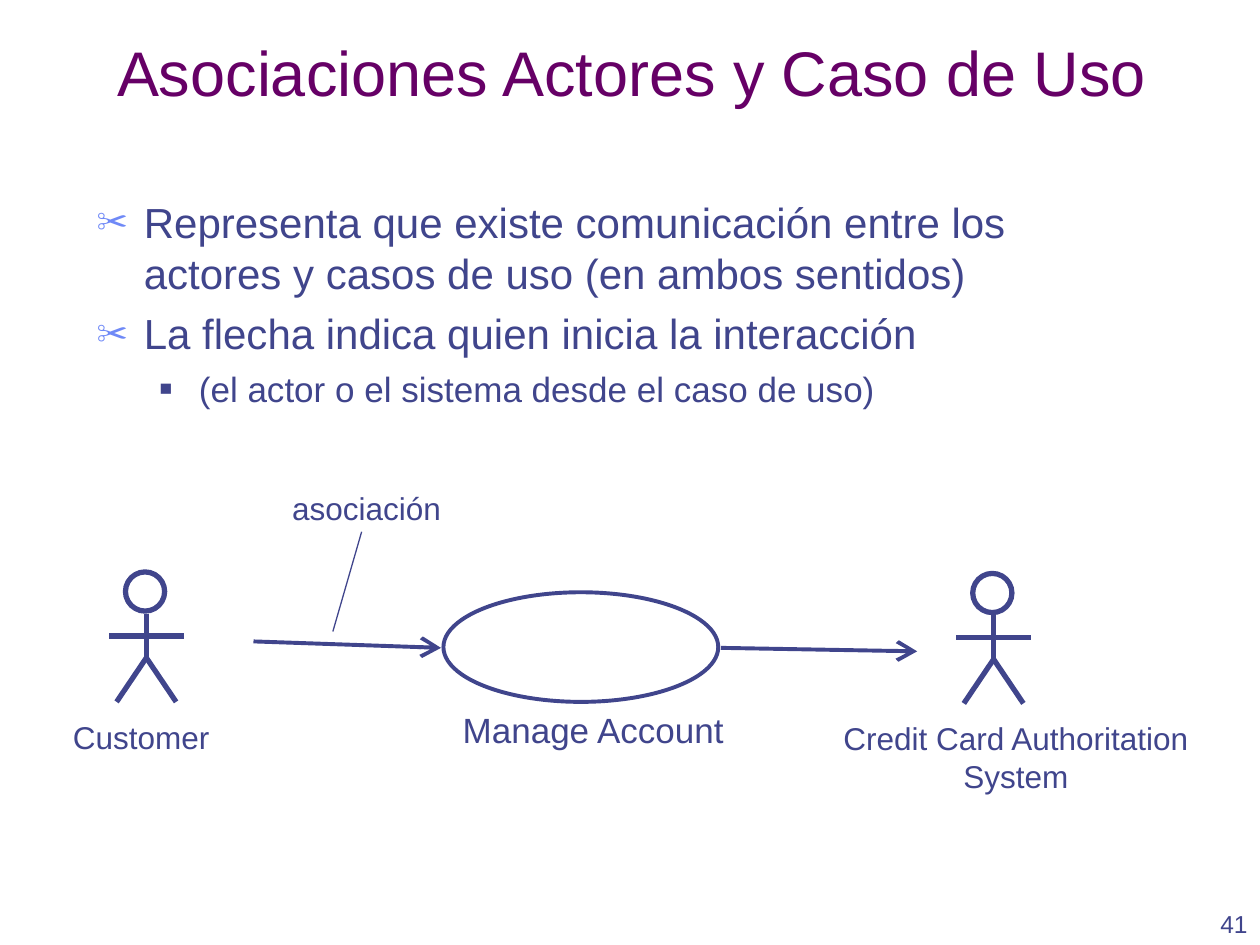
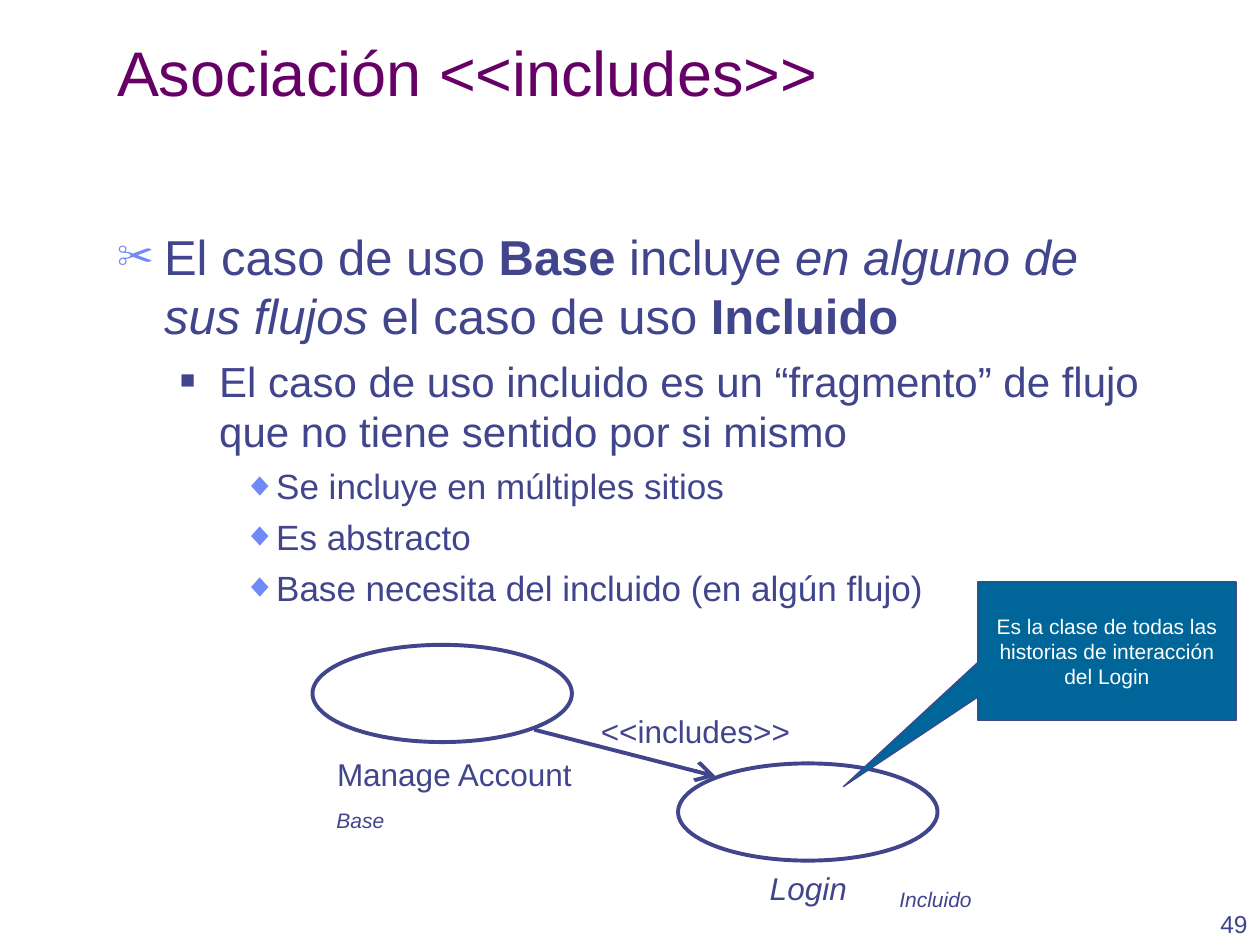
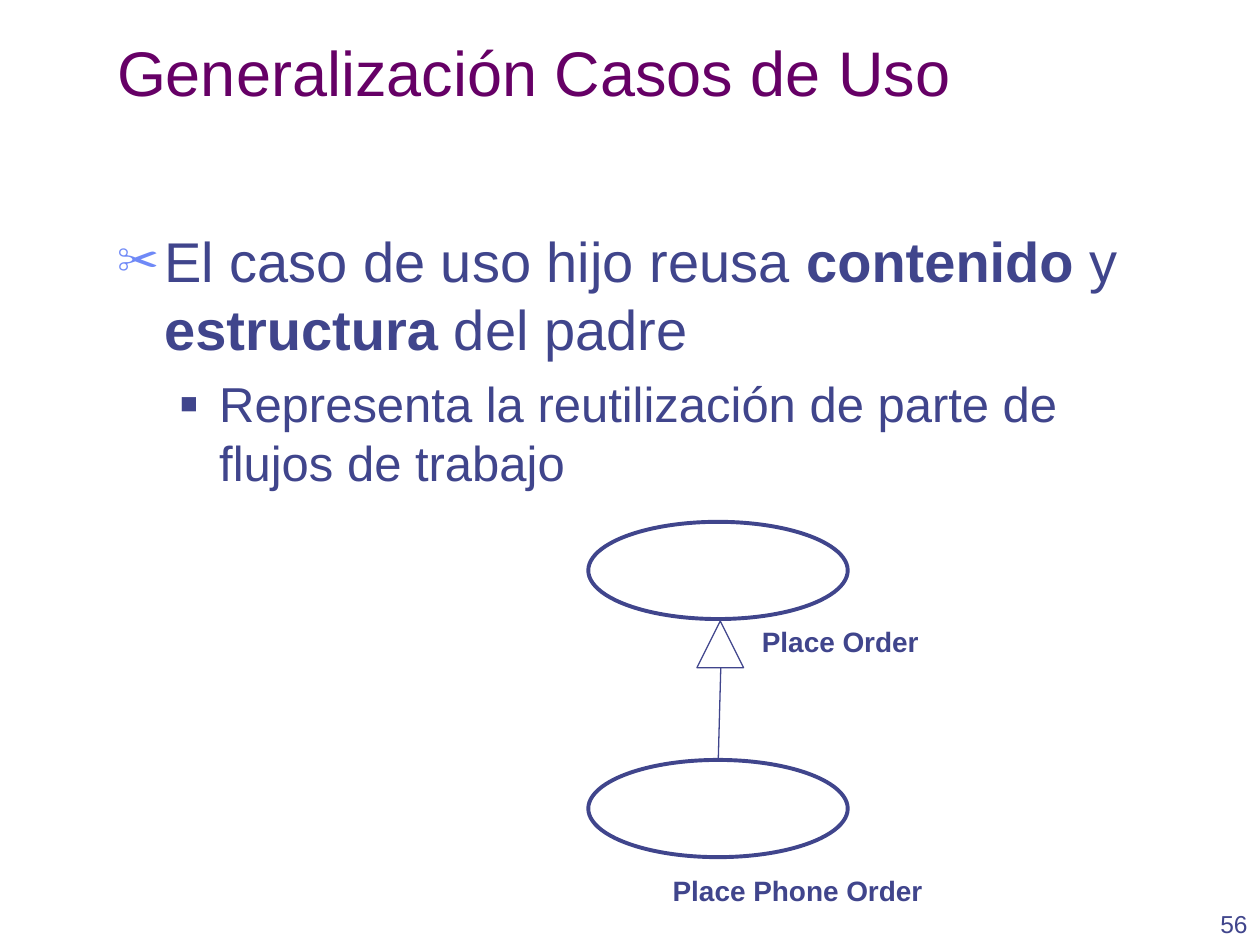
from lxml.etree import SubElement as Sub
from pptx import Presentation
from pptx.dml.color import RGBColor as Rgb
from pptx.enum.shapes import MSO_CONNECTOR as Conn, MSO_SHAPE as Geo
from pptx.enum.text import (MSO_ANCHOR as Anchor, MSO_AUTO_SIZE as Fit,
                            PP_ALIGN as Align)
from pptx.oxml.ns import qn
from pptx.util import Cm, Pt

HEX = {"ink": "40458C", "title": "660066", "mark": "6F89F7",
       "note": "006699", "white": "FFFFFF"}
FONT = "Arial"
BOLD, SLANT = {"bold": True}, {"italic": True}
THIN, MID, THICK = 0.75, 2.25, 3
OVAL = (5.23, 1.96)

LEVELS = [
    {"left": 0.95, "hang": 0.95, "char": "✂", "hue": "mark", "pct": 75},
    {"left": 2.06, "hang": 0.79, "char": "■", "hue": "ink", "pct": 60},
    {"left": 3.18, "hang": 0.64, "char": "◆", "hue": "mark", "pct": 95},
]

DECK = [
    {"title": "Asociaciones Actores y Caso de Uso", "page": 41,
     "area": (1.7, 3.84, 21.59, 5.49),
     "body": [
         (0, 24, [("Representa que existe comunicación entre los actores y "
                   "casos de uso (en ambos sentidos)", {})]),
         (0, 24, [("La flecha indica quien inicia la interacción", {})]),
         (1, 20, [("(el actor o el sistema desde el caso de uso)", {})])],
     "ovals": [(8.94, 11.94, 5.54, 2.21)],
     "actors": [(2.95, 11.53), (20.03, 11.56)],
     "lines": [((5.11, 12.93), (8.89, 13.06), MID, True),
               ((14.53, 13.06), (18.49, 13.13), MID, True),
               ((6.71, 12.73), (7.29, 10.72), THIN, False)],
     "labels": [("Manage Account", (5.66, 14.15, 12.6, 1.12), 20, {}, True),
                ("Customer", (1.12, 14.35, 3.45, 1.02), 18, {}, False),
                ("Credit Card Authoritation System",
                 (16.1, 14.38, 8.76, 1.78), 18, {}, True),
                ("asociación", (5.64, 9.73, 3.5, 1.02), 18, {}, False)]},
    {"title": "Asociación <<includes>>", "page": 49,
     "area": (2.11, 4.45, 21.59, 12.5),
     "body": [
         (0, 28, [("El caso de uso", {}), (" Base", BOLD), (" incluye ", {}),
                  ("en alguno de sus flujos", SLANT),
                  (" el caso de uso ", {}), ("Incluido", BOLD)]),
         (1, 24, [("El caso de uso incluido es un “fragmento” de flujo que "
                   "no tiene sentido por si mismo", {})]),
         (2, 20, [("Se incluye en múltiples sitios", {})]),
         (2, 20, [("Es abstracto", {})]),
         (2, 20, [("Base necesita del incluido (en algún flujo)", {})])],
     "ovals": [(6.3, 13, *OVAL), (13.67, 15.39, *OVAL)],
     "lines": [((10.77, 14.71), (14.43, 15.65), MID, True)],
     "labels": [("Login", (14.3, 17.4, 3.99, 1.02), 18, SLANT, True),
                ("Manage Account", (6.53, 15.09, 5.26, 1.02), 18, {}, False),
                ("<<includes>>", (11.86, 14.22, 4.32, 1.02), 18, {}, False),
                ("Base", (6.53, 16.15, 1.47, 0.76), 12, SLANT, False),
                ("Incluido", (17.88, 17.75, 1.96, 0.76), 12, SLANT, False)],
     "note": ("Es la clase de todas las historias de interacción del Login",
              (19.71, 11.73, 5.21, 2.79), (-1.02, 0.98))},
    {"title": "Generalización Casos de Uso", "page": 56,
     "area": (2.11, 4.45, 21.59, 12.5),
     "body": [
         (0, 32, [("El caso de uso hijo reusa ", {}), ("contenido", BOLD),
                  (" y ", {}), ("estructura", BOLD), (" del padre", {})]),
         (1, 28, [("Representa la reutilización de parte de flujos de "
                   "trabajo", {})])],
     "ovals": [(11.86, 10.52, *OVAL), (11.86, 15.32, *OVAL)],
     "tips": [(14.05, 12.52, 0.94, 0.94)],
     "lines": [((14.53, 13.46), (14.48, 15.29), THIN, False)],
     "labels": [("Place Order", (15.01, 12.47, 3.86, 0.94), 16, BOLD, False),
                ("Place Phone Order", (13.31, 17.48, 5.54, 0.94), 16, BOLD,
                 False)]},
]


def hue(name):
    return Rgb.from_string(HEX[name])


def write(para, text, size, color="ink", look={}):
    run = para.add_run()
    run.text = text
    form = {"name": FONT, "size": Pt(size), **look}
    for key, val in form.items():
        setattr(run.font, key, val)
    run.font.color.rgb = hue(color)
    para.line_spacing = 1.0


def frame(slide, area, wrap=True, anchor=Anchor.TOP):
    text = slide.shapes.add_textbox(*map(Cm, area)).text_frame
    text.word_wrap = wrap
    text.vertical_anchor = anchor
    if not wrap:
        text.auto_size = Fit.SHAPE_TO_FIT_TEXT
    return text


def label(slide, text, area, size, look={}, wrap=True, color="ink",
          align=Align.CENTER, anchor=Anchor.TOP):
    para = frame(slide, area, wrap, anchor).paragraphs[0]
    para.alignment = align
    write(para, text, size, color, look)


def bullet(para, level):
    rule = LEVELS[level]
    props = para._p.get_or_add_pPr()
    props.set("marL", str(Cm(rule["left"])))
    props.set("indent", str(-Cm(rule["hang"])))
    tint = Sub(props, qn("a:buClr"))
    Sub(tint, qn("a:srgbClr"), val=HEX[rule["hue"]])
    Sub(props, qn("a:buSzPct"), val=str(rule["pct"] * 1000))
    Sub(props, qn("a:buFont"), typeface=FONT)
    Sub(props, qn("a:buChar"), char=rule["char"])


def body(slide, area, items):
    text = frame(slide, area)
    for i, (level, size, runs) in enumerate(items):
        para = text.add_paragraph() if i else text.paragraphs[0]
        bullet(para, level)
        if i:
            para.space_before = Pt(size // 4)
        for words, look in runs:
            write(para, words, size, look=look)


def shape(slide, geo, area, width, fill=None):
    item = slide.shapes.add_shape(geo, *map(Cm, area))
    item.shadow.inherit = False
    if fill:
        item.fill.solid()
        item.fill.fore_color.rgb = hue(fill)
    else:
        item.fill.background()
    item.line.color.rgb = hue("ink")
    item.line.width = Pt(width)
    return item


def line(slide, start, end, width, arrow=False):
    item = slide.shapes.add_connector(Conn.STRAIGHT, *map(Cm, start + end))
    item.line.color.rgb = hue("ink")
    item.line.width = Pt(width)
    if arrow:
        Sub(item.line._get_or_add_ln(), qn("a:tailEnd"), type="arrow",
            w="lg", len="lg")
    Sub(item._element.spPr, qn("a:effectLst"))


def actor(slide, x, top):
    shape(slide, Geo.OVAL, (x - 0.42, top, 0.79, 0.79), THICK)
    neck, arm, hip, foot = (top + d for d in (0.84, 1.29, 1.73, 2.62))
    for start, end in [((x, neck), (x, hip)),
                       ((x, hip), (x - 0.6, foot)),
                       ((x, hip), (x + 0.6, foot)),
                       ((x - 0.75, arm), (x + 0.75, arm))]:
        line(slide, start, end, THICK)


def note(slide, text, area, tail):
    item = shape(slide, Geo.RECTANGULAR_CALLOUT, area, THIN, "note")
    item.adjustments[0], item.adjustments[1] = tail
    box = item.text_frame
    box.word_wrap = True
    box.vertical_anchor = Anchor.MIDDLE
    para = box.paragraphs[0]
    para.alignment = Align.CENTER
    write(para, text, 12, "white")


def build(deck, data):
    slide = deck.slides.add_slide(deck.slide_layouts[6])
    label(slide, str(data["page"]), (23.52, 17.78, 1.88, 1.27), 14,
          align=Align.RIGHT, anchor=Anchor.BOTTOM)
    label(slide, data["title"], (2.11, 0.43, 21.59, 1.9), 36, color="title",
          align=Align.LEFT, anchor=Anchor.BOTTOM)
    body(slide, data["area"], data["body"])
    for area in data["ovals"]:
        shape(slide, Geo.OVAL, area, MID)
    for area in data.get("tips", []):
        shape(slide, Geo.ISOSCELES_TRIANGLE, area, THIN)
    for spot in data.get("actors", []):
        actor(slide, *spot)
    for part in data["lines"]:
        line(slide, *part)
    for part in data["labels"]:
        label(slide, *part)
    if "note" in data:
        note(slide, *data["note"])


def main():
    deck = Presentation()
    deck.slide_width, deck.slide_height = Cm(25.4), Cm(19.05)
    for data in DECK:
        build(deck, data)
    deck.save("out.pptx")


if __name__ == "__main__":
    main()
